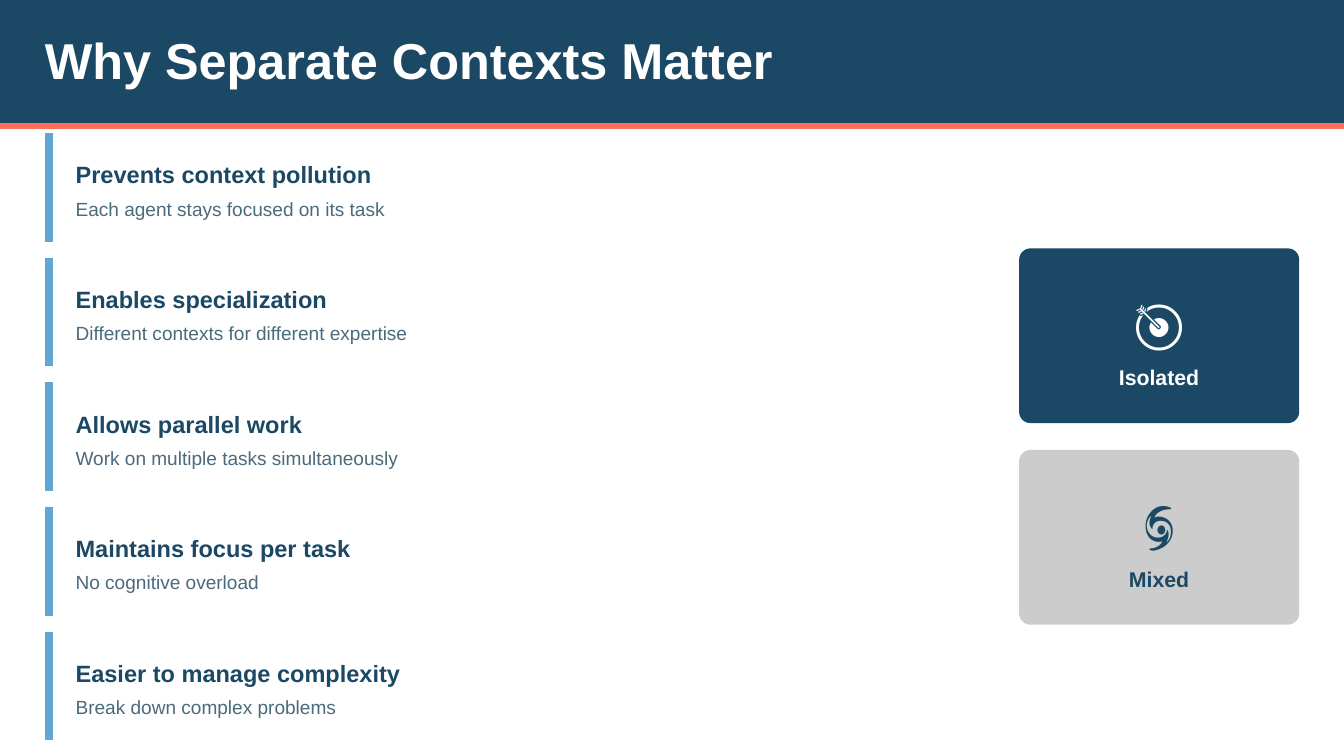
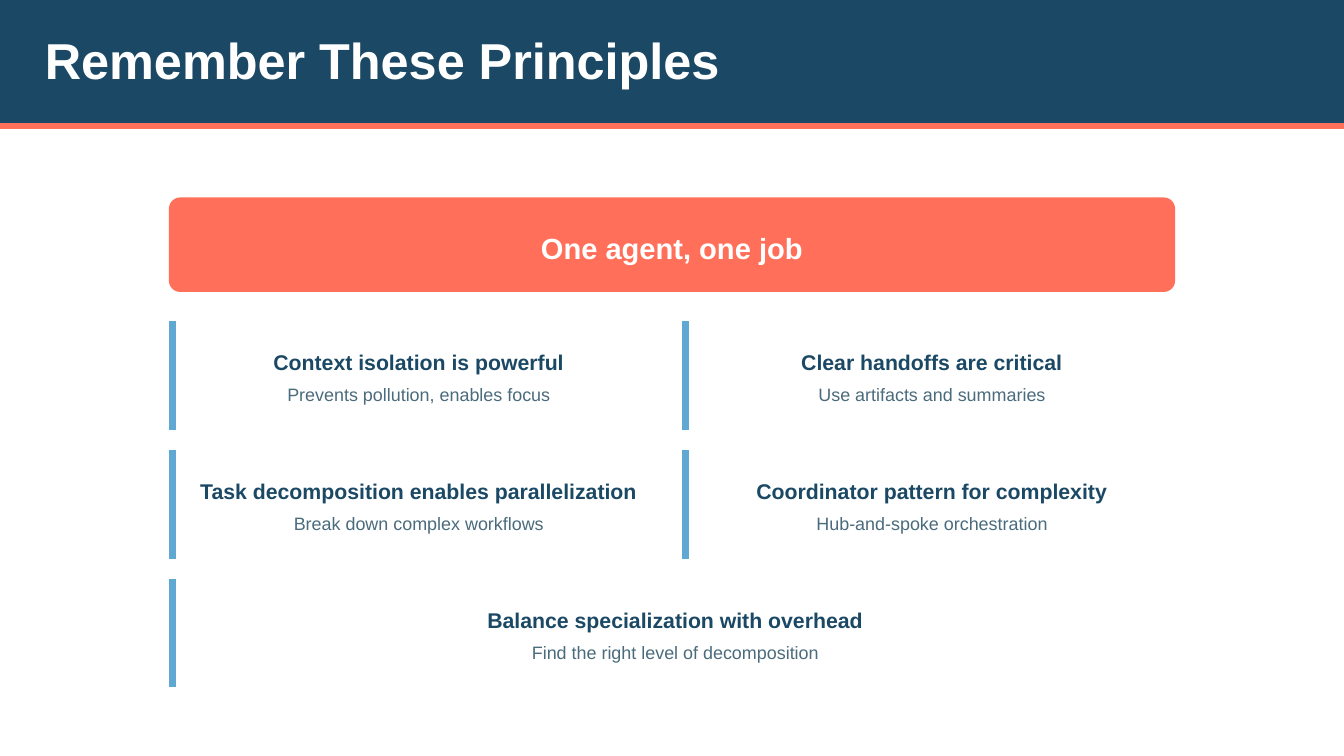
from lxml import etree
from pptx import Presentation
from pptx.dml.color import RGBColor
from pptx.enum.shapes import MSO_CONNECTOR, MSO_SHAPE
from pptx.enum.text import PP_ALIGN
from pptx.oxml.ns import qn
from pptx.util import Pt

NAVY = RGBColor(0x1B, 0x49, 0x65)
CORAL = RGBColor(0xFF, 0x6F, 0x59)
SKY = RGBColor(0x5F, 0xA8, 0xD3)
SLATE = RGBColor(0x4A, 0x6B, 0x7C)
SILVER = RGBColor(0xCC, 0xCC, 0xCC)
WHITE = RGBColor(0xFF, 0xFF, 0xFF)
RECTANGLE, ROUNDED = MSO_SHAPE.RECTANGLE, MSO_SHAPE.ROUNDED_RECTANGLE
STRAIGHT = MSO_CONNECTOR.STRAIGHT
LEFT, CENTER = PP_ALIGN.LEFT, PP_ALIGN.CENTER

WIDTH, HEIGHT = 720, 405
MARGIN = 24
CARD_HEIGHT = 58.2

TITLE = {"size": 27, "leading": 30, "bold": True}
BANNER = {"size": 15.6, "leading": 21.8, "bold": True}
ICON = {"size": 26.4, "leading": 37}
LABEL = {"size": 11.4, "leading": 16, "bold": True}

REASON_CARD = {
    "bar": 4.5, "align": LEFT, "left": 16.5, "right": 2.7,
    "lines": [
        (12, NAVY, {"size": 12.6, "leading": 17.6, "bold": True}),
        (32.2, SLATE, {"size": 10.2, "leading": 14.3}),
    ],
}
PRINCIPLE_CARD = {
    "bar": 3.75, "align": CENTER, "left": 14.6, "right": 11,
    "lines": [
        (12.9, NAVY, LABEL),
        (31.6, SLATE, {"size": 9.6, "leading": 13.4}),
    ],
}

REASONS = [
    ("Prevents context pollution", "Each agent stays focused on its task"),
    ("Enables specialization", "Different contexts for different expertise"),
    ("Allows parallel work", "Work on multiple tasks simultaneously"),
    ("Maintains focus per task", "No cognitive overload"),
    ("Easier to manage complexity", "Break down complex problems"),
]
BADGES = [("🎯", "Isolated", NAVY, WHITE), ("🌀", "Mixed", SILVER, NAVY)]
PRINCIPLES = [
    ("Context isolation is powerful", "Prevents pollution, enables focus"),
    ("Clear handoffs are critical", "Use artifacts and summaries"),
    ("Task decomposition enables parallelization", "Break down complex workflows"),
    ("Coordinator pattern for complexity", "Hub-and-spoke orchestration"),
    ("Balance specialization with overhead", "Find the right level of decomposition"),
]


class DeckBuilder:
    """Holds the deck, its shared style and the current slide."""

    def __init__(self):
        self.font = "Arial"
        self.deck = Presentation()
        self.deck.slide_width, self.deck.slide_height = Pt(WIDTH), Pt(HEIGHT)

    def page(self, title, title_width):
        """Starts a slide with the title band."""
        self.slide = self.deck.slides.add_slide(self.deck.slide_layouts[6])
        self.panel(0, 0, WIDTH, 69, NAVY)
        self.line(0, 67.5, WIDTH, 67.5, CORAL, 3)
        self.text(title, MARGIN, 18, title_width, WHITE, TITLE)

    def panel(self, x, y, width, height, fill, radius=None):
        """Draws a filled panel, rounded when a radius is given."""
        kind = ROUNDED if radius else RECTANGLE
        shape = self.slide.shapes.add_shape(kind, Pt(x), Pt(y), Pt(width), Pt(height))
        if radius:
            shape.adjustments[0] = radius / min(width, height)
        shape.shadow.inherit = False
        shape.fill.solid()
        shape.fill.fore_color.rgb = fill
        shape.line.fill.background()

    def line(self, x1, y1, x2, y2, color, weight):
        """Draws a straight line without shadow."""
        line = self.slide.shapes.add_connector(STRAIGHT, Pt(x1), Pt(y1), Pt(x2), Pt(y2))
        line.line.color.rgb = color
        line.line.width = Pt(weight)
        etree.SubElement(line.element.spPr, qn("a:effectLst"))

    def text(self, words, x, y, width, color, style, align=LEFT):
        """Writes one line of text in a box without insets."""
        box = self.slide.shapes.add_textbox(Pt(x), Pt(y), Pt(width), Pt(style["leading"]))
        frame = box.text_frame
        frame.word_wrap = True
        for side in ("left", "top", "right", "bottom"):
            setattr(frame, f"margin_{side}", 0)
        para = frame.paragraphs[0]
        para.alignment = align
        para.line_spacing = Pt(style["leading"])
        span = para.add_run()
        span.text = words
        values = {"name": self.font, "size": Pt(style["size"]), "bold": style.get("bold", False)}
        for name, value in values.items():
            setattr(span.font, name, value)
        span.font.color.rgb = color

    def card(self, words, x, y, width, style):
        """Draws a card with an accent bar, a heading and a detail."""
        self.panel(x, y, width, CARD_HEIGHT, WHITE, 6)
        bar_x = x + style["bar"] / 2
        self.line(bar_x, y, bar_x, y + CARD_HEIGHT, SKY, style["bar"])
        text_width = width - style["left"] - style["right"]
        for line, (offset, color, font) in zip(words, style["lines"]):
            self.text(line, x + style["left"], y + offset, text_width, color, font, style["align"])

    def badge(self, icon, label, x, y, fill, color):
        """Draws a rounded badge with an icon over a label."""
        width, inset = 150, 17.2
        self.panel(x, y, width, 93.6, fill, 6)
        for words, offset, style in ((icon, 18, ICON), (label, 59.8, LABEL)):
            self.text(words, x + inset, y + offset, width - 2 * inset, color, style, CENTER)


def build_reasons(builder):
    """Builds the slide on separate contexts."""
    builder.page("Why Separate Contexts Matter", 399)
    for row, reason in enumerate(REASONS):
        builder.card(reason, MARGIN, 71.4 + row * 66.75, 498, REASON_CARD)
    for row, (icon, label, fill, color) in enumerate(BADGES):
        builder.badge(icon, label, WIDTH - MARGIN - 150, 133.1 + row * 108, fill, color)


def build_principles(builder):
    """Builds the slide of principles."""
    left, full_width, gap = 90.5, 539, 10.8
    half_width = (full_width - gap) / 2
    builder.page("Remember These Principles", 369)
    builder.panel(left, 105.8, full_width, 50.6, CORAL, 6)
    builder.text("One agent, one job", left + 19, 120.2, full_width - 38, WHITE, BANNER, CENTER)
    for index, principle in enumerate(PRINCIPLES):
        row, column = divmod(index, 2)
        width = full_width if index == len(PRINCIPLES) - 1 else half_width
        x = left + column * (half_width + gap)
        builder.card(principle, x, 172.1 + row * 69, width, PRINCIPLE_CARD)


def main():
    """Builds and saves the deck."""
    builder = DeckBuilder()
    build_reasons(builder)
    build_principles(builder)
    builder.deck.save("out.pptx")


if __name__ == "__main__":
    main()
